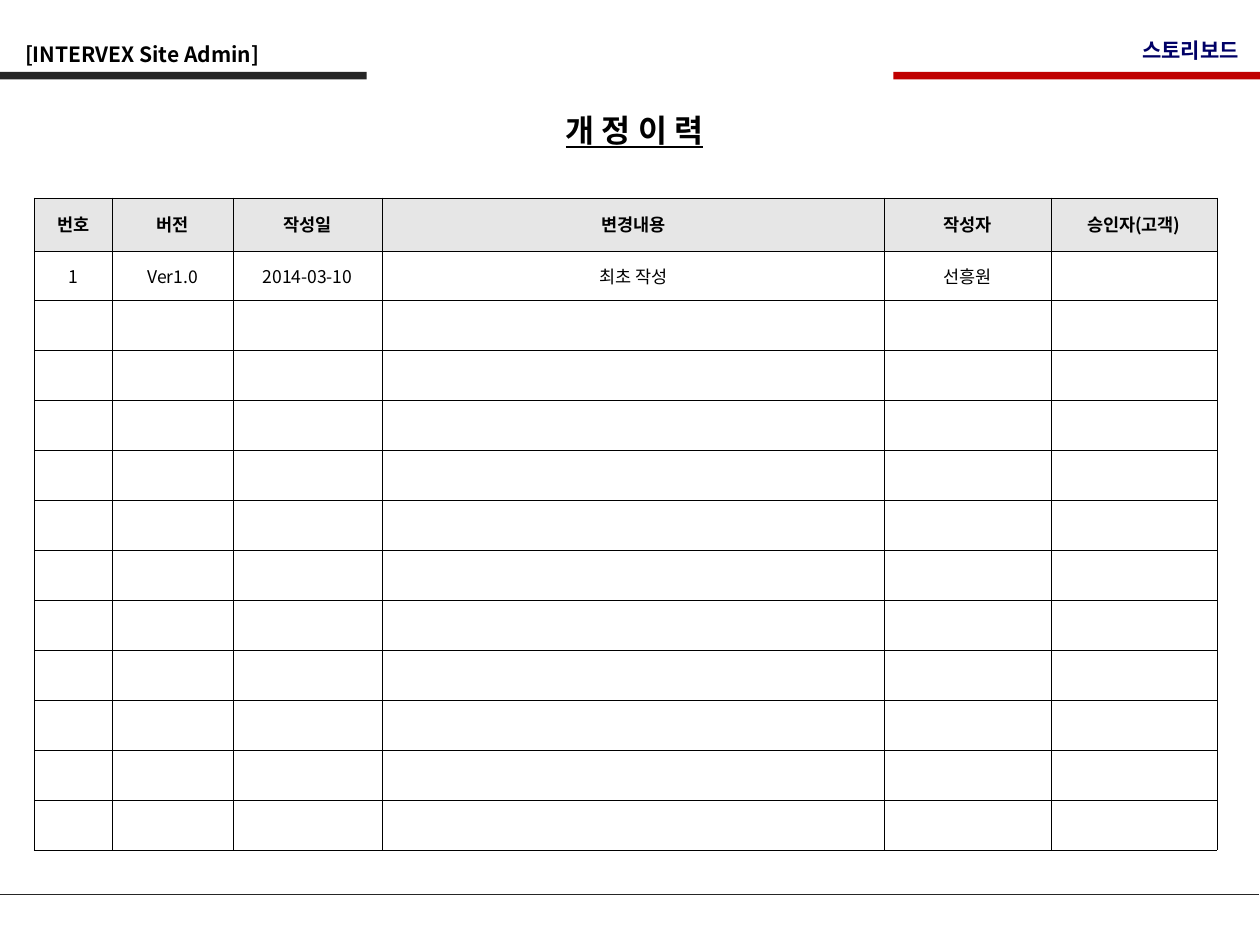
from dataclasses import dataclass

from pptx import Presentation
from pptx.dml.color import RGBColor
from pptx.enum import shapes, text
from pptx.oxml import ns
from pptx.util import Inches, Pt
from lxml import etree


@dataclass(frozen=True)
class Theme:
    font: str = "Noto Sans CJK KR"
    ink: str = "000000"
    navy: str = "000066"
    dark: str = "262626"
    red: str = "C00000"
    head: str = "E6E6E6"
    paper: str = "FFFFFF"
    title: int = 18
    label: int = 12
    body: int = 10
    rule: float = 0.75
    grid: float = 0.23


@dataclass(frozen=True)
class Bar:
    left: float
    color: str


@dataclass(frozen=True)
class Label:
    words: str
    left: float
    top: float
    width: float
    height: float
    size: int
    color: str
    align: text.PP_ALIGN
    under: bool = False


THEME = Theme()
ALIGN = text.PP_ALIGN
BARS = [Bar(7.09, THEME.red), Bar(0, THEME.dark)]
LABELS = [
    Label("[INTERVEX Site Admin]", 0.1, 0.28, 3.81, 0.3,
          THEME.label, THEME.ink, ALIGN.LEFT),
    Label("개 정 이 력", 3.94, 0.83, 2.19, 0.4,
          THEME.title, THEME.ink, ALIGN.CENTER, under=True),
    Label("스토리보드", 7.34, 0.25, 2.59, 0.3,
          THEME.label, THEME.navy, ALIGN.RIGHT),
]
WIDTHS = [0.62, 0.96, 1.18, 3.99, 1.32, 1.32]
HEADS = ["번호", "버전", "작성일", "변경내용", "작성자", "승인자(고객)"]
FIRST = ["1", "Ver1.0", "2014-03-10", "최초 작성", "선흥원", ""]
BLANKS = 11
TABLE_HEIGHT, HEAD_HEIGHT = 5.18, 0.42


def write(frame, words: str, *, size: int, color: str = THEME.ink,
          bold: bool = False, under: bool = False,
          align: text.PP_ALIGN = ALIGN.CENTER) -> None:
    para = frame.paragraphs[0]
    para.alignment = align
    if not words:
        # An empty cell still needs a type size to keep its row height
        end = etree.SubElement(para._p, ns.qn("a:endParaRPr"))
        end.set("sz", str(size * 100))
        return
    run = para.add_run()
    run.text = words
    font = run.font
    font.name, font.size, font.bold = THEME.font, Pt(size), bold
    font.underline = under
    font.color.rgb = RGBColor.from_string(color)
    east = etree.SubElement(run._r.get_or_add_rPr(), ns.qn("a:ea"))
    east.set("typeface", THEME.font)


def draw_bar(slide, bar: Bar) -> None:
    shape = slide.shapes.add_shape(
        shapes.MSO_SHAPE.RECTANGLE, Inches(bar.left), Inches(0.57),
        Inches(2.91), Inches(0.06))
    shape.shadow.inherit = False
    shape.fill.solid()
    shape.fill.fore_color.rgb = RGBColor.from_string(bar.color)
    shape.line.fill.background()


def draw_rule(slide) -> None:
    line = slide.shapes.add_connector(
        shapes.MSO_CONNECTOR.STRAIGHT, Inches(0), Inches(7.1),
        Inches(9.99), Inches(7.1))
    line.line.color.rgb = RGBColor.from_string(THEME.dark)
    line.line.width = Pt(THEME.rule)
    etree.SubElement(line._element.spPr, ns.qn("a:effectLst"))


def draw_label(slide, label: Label) -> None:
    box = slide.shapes.add_textbox(
        Inches(label.left), Inches(label.top),
        Inches(label.width), Inches(label.height))
    frame = box.text_frame
    frame.word_wrap = True
    frame.auto_size = text.MSO_AUTO_SIZE.SHAPE_TO_FIT_TEXT
    write(frame, label.words, size=label.size, color=label.color,
          bold=True, under=label.under, align=label.align)


def add_edges(cell) -> None:
    props = cell._tc.get_or_add_tcPr()
    for side in ("lnL", "lnR", "lnT", "lnB"):
        edge = etree.SubElement(props, ns.qn(f"a:{side}"))
        edge.set("w", str(Pt(THEME.grid)))
        fill = etree.SubElement(edge, ns.qn("a:solidFill"))
        etree.SubElement(fill, ns.qn("a:srgbClr")).set("val", THEME.ink)


def draw_table(slide) -> None:
    rows = [HEADS, FIRST] + [[""] * len(HEADS)] * BLANKS
    table = slide.shapes.add_table(
        len(rows), len(WIDTHS), Inches(0.27), Inches(1.57),
        Inches(sum(WIDTHS)), Inches(TABLE_HEIGHT)).table
    for col, width in zip(table.columns, WIDTHS):
        col.width = Inches(width)
    step = (TABLE_HEIGHT - HEAD_HEIGHT) / (len(rows) - 1)
    for r, row in enumerate(rows):
        head = r == 0
        table.rows[r].height = Inches(HEAD_HEIGHT if head else step)
        for c, words in enumerate(row):
            cell = table.cell(r, c)
            add_edges(cell)
            cell.fill.solid()
            cell.fill.fore_color.rgb = RGBColor.from_string(
                THEME.head if head else THEME.paper)
            cell.vertical_anchor = text.MSO_ANCHOR.MIDDLE
            cell.margin_left = cell.margin_right = Inches(0.09)
            cell.margin_top = cell.margin_bottom = Inches(0.05)
            write(cell.text_frame, words, size=THEME.body, bold=head)


def main() -> None:
    deck = Presentation()
    deck.slide_width, deck.slide_height = Inches(10), Inches(7.5)
    slide = deck.slides.add_slide(deck.slide_layouts[6])
    # Page frame
    draw_rule(slide)
    for bar in BARS:
        draw_bar(slide, bar)
    # Revision history
    draw_table(slide)
    # Headings
    for label in LABELS:
        draw_label(slide, label)
    deck.save("out.pptx")


if __name__ == "__main__":
    main()
